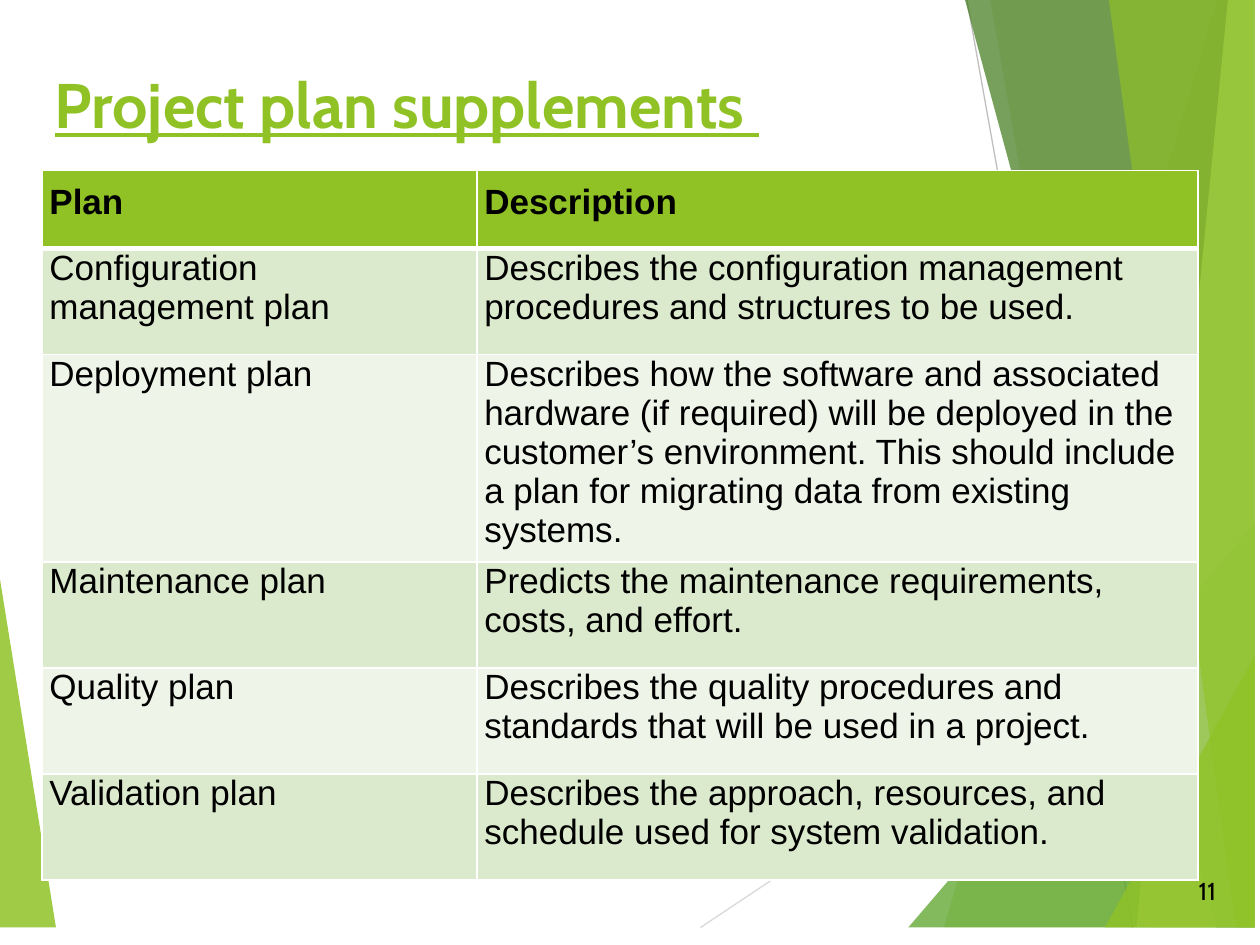
from lxml import etree
from pptx import Presentation
from pptx.dml.color import RGBColor
from pptx.enum.shapes import MSO_CONNECTOR
from pptx.enum.text import MSO_ANCHOR, PP_ALIGN
from pptx.oxml.ns import qn
from pptx.util import Pt


def rgb(code):
    return RGBColor.from_string(code)


def style(p, size, font, color, bold=False):
    f = p.font
    f.size, f.name, f.bold = Pt(size), font, bold
    f.color.rgb = rgb(color)


prs = Presentation()
prs.slide_width, prs.slide_height = Pt(720), Pt(540)
s = prs.slides.add_slide(prs.slide_layouts[5])

# Background facets: thin lines, then translucent polygons (color, opacity %, points)
for x1, y1, x2, y2, color in [
    (400.3, 530, 717, 319, "D9D9D9"),
    (550.8, -10, 647.3, 530, "BFBFBF"),
]:
    line = s.shapes.add_connector(MSO_CONNECTOR.STRAIGHT, Pt(x1), Pt(y1), Pt(x2), Pt(y2))
    line.line.color.rgb = rgb(color)
    line.line.width = Pt(0.75)
    etree.SubElement(line._element.spPr, qn("a:effectLst"))

top, bottom, right = -10.5, 530, 717
facets = [
    ("90C226", 85, [(-4, 306), (32, bottom), (-4, bottom)]),
    ("90C226", 30, [(698.5, top), (539.3, bottom), (right, bottom), (right, top)]),
    ("90C226", 20, [(564, top), (659, bottom), (right, bottom), (right, top)]),
    ("54A021", 72, [(519, bottom), (right, 299), (right, bottom)]),
    ("3F7819", 70, [(548.6, top), (695, bottom), (right, bottom), (right, top)]),
    ("C0E474", 70, [(702.7, top), (649.4, bottom), (right, bottom), (right, top)]),
    ("90C226", 65, [(632.2, top), (706.3, bottom), (right, bottom), (right, top)]),
    ("90C226", 80, [(631.4, bottom), (right, 375), (right, bottom)]),
]
for color, opacity, points in facets:
    start, *rest = [(Pt(x), Pt(y)) for x, y in points]
    builder = s.shapes.build_freeform(*start)
    builder.add_line_segments(rest, close=True)
    facet = builder.convert_to_shape()
    facet.shadow.inherit = False
    facet.line.fill.background()
    facet.fill.solid()
    facet.fill.fore_color.rgb = rgb(color)
    clr = facet._element.spPr.find(".//" + qn("a:srgbClr"))
    etree.SubElement(clr, qn("a:alpha"), val=str(opacity * 1000))

# Title, brought in front of the facets
title = s.shapes.title
title._element.getparent().append(title._element)
title.left, title.top, title.width, title.height = Pt(24), Pt(34), Pt(605.5), Pt(103.7)
tf = title.text_frame
tf.word_wrap = True
tf.vertical_anchor = MSO_ANCHOR.TOP
tf.text = "Project plan supplements "
p = tf.paragraphs[0]
p.alignment = PP_ALIGN.LEFT
style(p, 36, "Cabin", "90C226", bold=True)
p.font.underline = True

# Table of plans
rows = [
    ("Plan", "Description"),
    ("Configuration management plan",
     "Describes the configuration management procedures and structures to be used."),
    ("Deployment plan",
     "Describes how the software and associated hardware (if required) will be deployed "
     "in the customer’s environment. This should include a plan for migrating data from "
     "existing systems."),
    ("Maintenance plan", "Predicts the maintenance requirements, costs, and effort."),
    ("Quality plan",
     "Describes the quality procedures and standards that will be used in a project."),
    ("Validation plan",
     "Describes the approach, resources, and schedule used for system validation."),
]
widths = [248.5, 412]
heights = [44.5, 60.5, 111, 60.5, 60.5, 60.5]
table = s.shapes.add_table(len(rows), 2, Pt(24), Pt(97.5), Pt(sum(widths)), Pt(sum(heights))).table
for column, width in zip(table.columns, widths):
    column.width = Pt(width)
for i, (texts, height) in enumerate(zip(rows, heights)):
    table.rows[i].height = Pt(height)
    header = i == 0
    fill = "90C226" if header else ("DBE9CD" if i % 2 else "EEF4E8")
    # The rule under the header is heavier; both cells that share it agree
    border_widths = {"L": 1, "R": 1, "T": 3 if i == 1 else 1, "B": 3 if header else 1}
    for j, text in enumerate(texts):
        cell = table.cell(i, j)
        cell.margin_left = cell.margin_right = Pt(4.25)
        cell.margin_top, cell.margin_bottom = Pt(7.2 if header else 0), Pt(7.2)
        cell.text = text
        style(cell.text_frame.paragraphs[0], 20, "Arial", "000000", bold=header)
        tcPr = cell._tc.get_or_add_tcPr()
        for side, width in border_widths.items():
            ln = etree.SubElement(tcPr, qn("a:ln" + side), w=str(Pt(width)))
            solid = etree.SubElement(ln, qn("a:solidFill"))
            etree.SubElement(solid, qn("a:srgbClr"), val="FFFFFF")
        cell.fill.solid()
        cell.fill.fore_color.rgb = rgb(fill)

# Slide number
number = s.shapes.add_textbox(Pt(661.7), Pt(494.6), Pt(40.3), Pt(28.8))
tf = number.text_frame
tf.word_wrap = True
tf.vertical_anchor = MSO_ANCHOR.MIDDLE
p = tf.paragraphs[0]
p.text = "11"
p.alignment = PP_ALIGN.RIGHT
style(p, 14, "Cabin", "000000")

prs.save("out.pptx")
